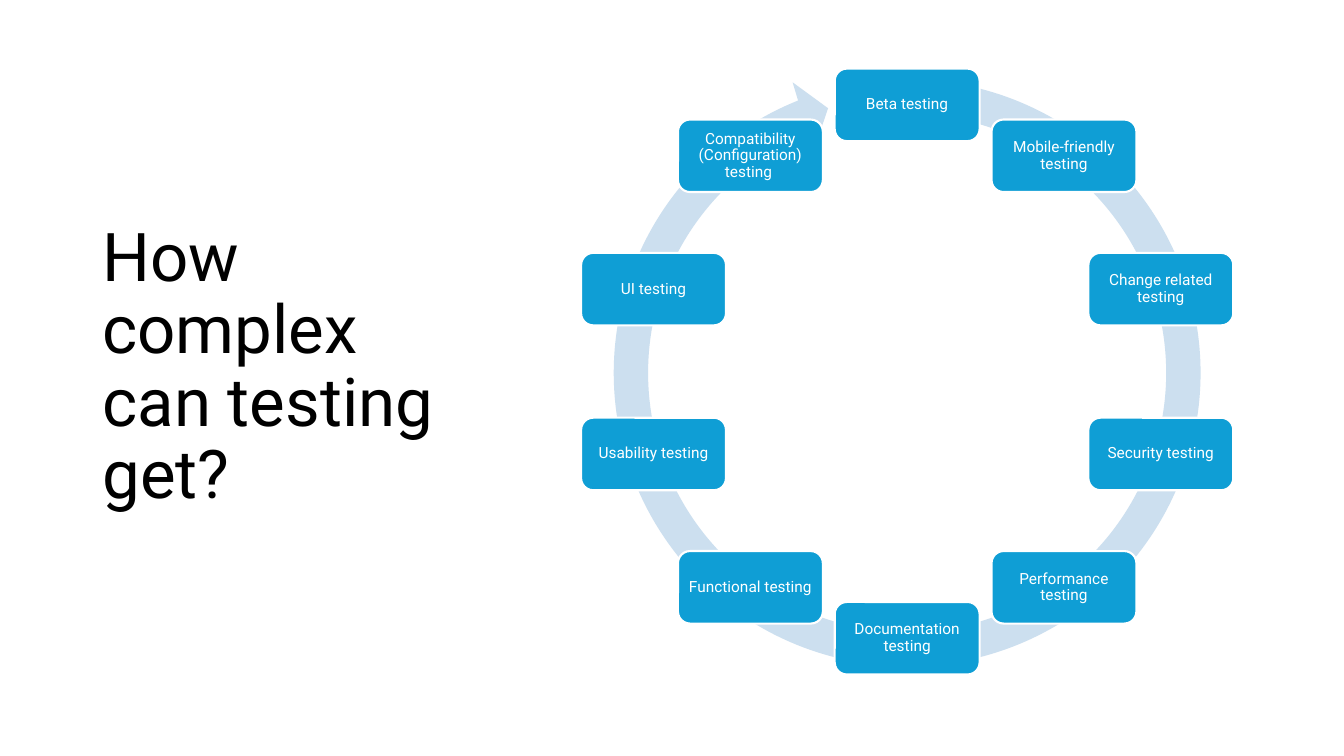
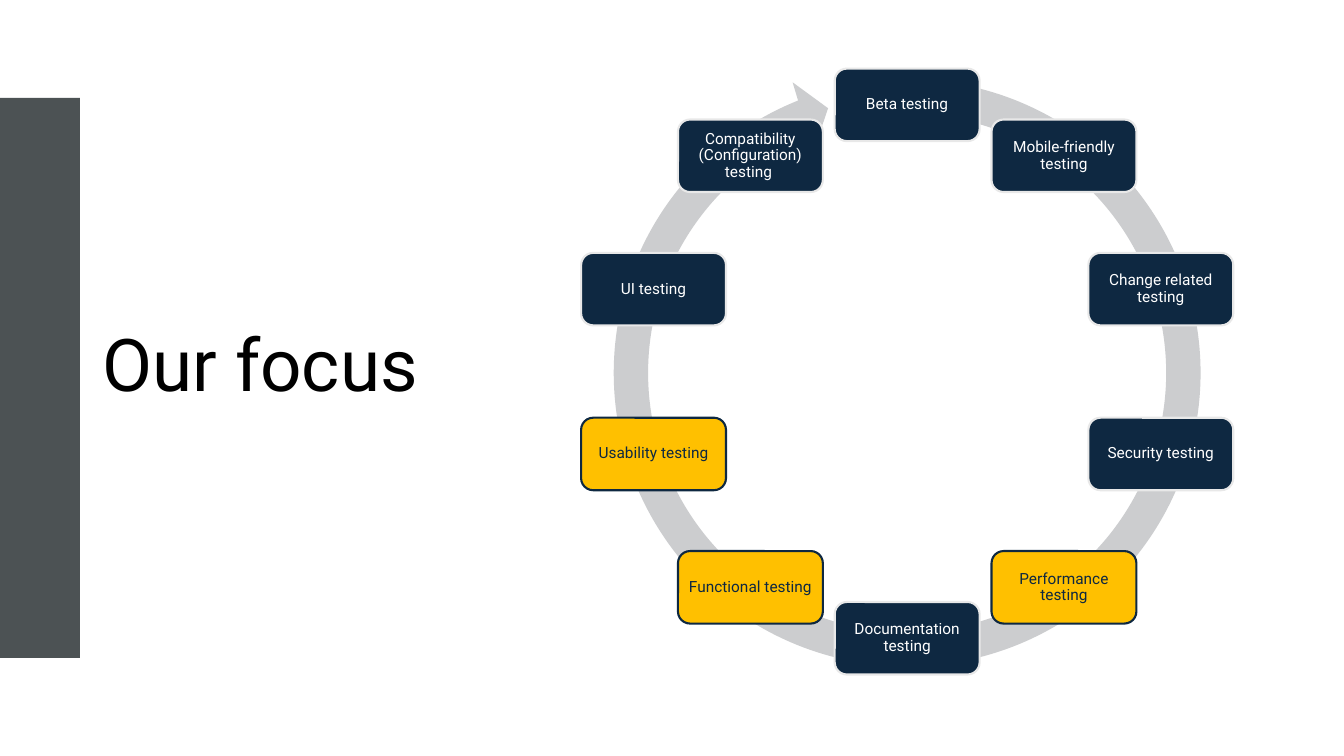
from math import cos, pi, sin

from pptx import Presentation
from pptx.dml.color import RGBColor
from pptx.enum.shapes import MSO_SHAPE as Shape
from pptx.enum.text import MSO_ANCHOR as Anchor, MSO_AUTO_SIZE as Fit, PP_ALIGN as Align
from pptx.util import Pt

# Shared look
FONT = "Roboto"
BLACK = RGBColor(0x00, 0x00, 0x00)
WHITE = RGBColor(0xFF, 0xFF, 0xFF)
BLUE = RGBColor(0x0F, 0x9E, 0xD5)
PALE = RGBColor(0xCC, 0xDF, 0xEF)
NAVY = RGBColor(0x0E, 0x28, 0x41)
GOLD = RGBColor(0xFF, 0xC0, 0x00)
LIGHT = RGBColor(0xE8, 0xE8, 0xE8)
GREY = RGBColor(0xCC, 0xCD, 0xCF)
SLATE = RGBColor(0x4C, 0x52, 0x54)

# Cycle geometry, in points
MID_X, MID_Y, RADIUS = 648, 265.4, 190.5
NODE_W, NODE_H = 103.5, 51.8
RING, DROP = 446.4, 1
BEND = (0.055, 3.307, 148.712, 167.492, 0.058)

# Node styles: fill, line, text
PLAIN = (BLUE, WHITE, WHITE)
DARK = (NAVY, LIGHT, WHITE)
FOCUS = (GOLD, NAVY, NAVY)

# Clockwise from the top
TESTS = (
    "Beta testing",
    "Mobile-friendly testing",
    "Change related testing",
    "Security testing",
    "Performance testing",
    "Documentation testing",
    "Functional testing",
    "Usability testing",
    "UI testing",
    "Compatibility (Configuration) testing ",
)
CHOSEN = {"Performance testing", "Functional testing", "Usability testing"}


def set_text(shape, text, size, color, align):
    frame = shape.text_frame
    frame.text = text
    frame.word_wrap = True
    frame.auto_size = Fit.NONE
    frame.vertical_anchor = Anchor.MIDDLE
    para = frame.paragraphs[0]
    para.alignment = align
    para.line_spacing = 0.9
    font = para.runs[0].font
    font.name, font.size = FONT, Pt(size)
    font.color.rgb = color


def add_title(slide, text, size):
    title = slide.shapes.title
    title.left, title.top = Pt(66), Pt(44)
    title.width, title.height = Pt(266), Pt(438)
    set_text(title, text, size, BLACK, Align.LEFT)


def add_box(slide, kind, left, top, width, height, fill, line=None):
    box = slide.shapes.add_shape(kind, Pt(left), Pt(top), Pt(width), Pt(height))
    box.shadow.inherit = False
    box.fill.solid()
    box.fill.fore_color.rgb = fill
    if line is None:
        box.line.fill.background()
    else:
        box.line.color.rgb = line
        box.line.width = Pt(1.5)
    return box


def add_node(slide, text, x, y, style):
    fill, line, color = style
    node = add_box(slide, Shape.ROUNDED_RECTANGLE, x - NODE_W / 2,
                   y - NODE_H / 2, NODE_W, NODE_H, fill, line)
    frame = node.text_frame
    frame.margin_left = frame.margin_right = Pt(3.3)
    frame.margin_top = frame.margin_bottom = Pt(3.3)
    set_text(node, text, 11, color, Align.CENTER)


def add_cycle(slide, color, base, focus):
    # Ring with its arrowhead
    ring = add_box(slide, Shape.CIRCULAR_ARROW, MID_X - RING / 2,
                   MID_Y - RING / 2 + DROP, RING, RING, color)
    for i, value in enumerate(BEND):
        ring.adjustments[i] = value
    # Nodes at equal angles
    for i, text in enumerate(TESTS):
        turn = 2 * pi * i / len(TESTS)
        add_node(slide, text, MID_X + RADIUS * sin(turn),
                 MID_Y - RADIUS * cos(turn), focus if text in CHOSEN else base)


def main():
    deck = Presentation()
    deck.slide_width, deck.slide_height = Pt(960), Pt(540)
    layout = deck.slide_layouts[5]

    # All kinds of testing
    slide = deck.slides.add_slide(layout)
    add_title(slide, "How complex can testing get?", 48)
    add_cycle(slide, PALE, PLAIN, PLAIN)

    # The kinds in focus
    slide = deck.slides.add_slide(layout)
    add_box(slide, Shape.RECTANGLE, 0, 70, 57, 400, SLATE)
    add_title(slide, "Our focus", 52)
    add_cycle(slide, GREY, DARK, FOCUS)

    deck.save("out.pptx")


if __name__ == "__main__":
    main()
